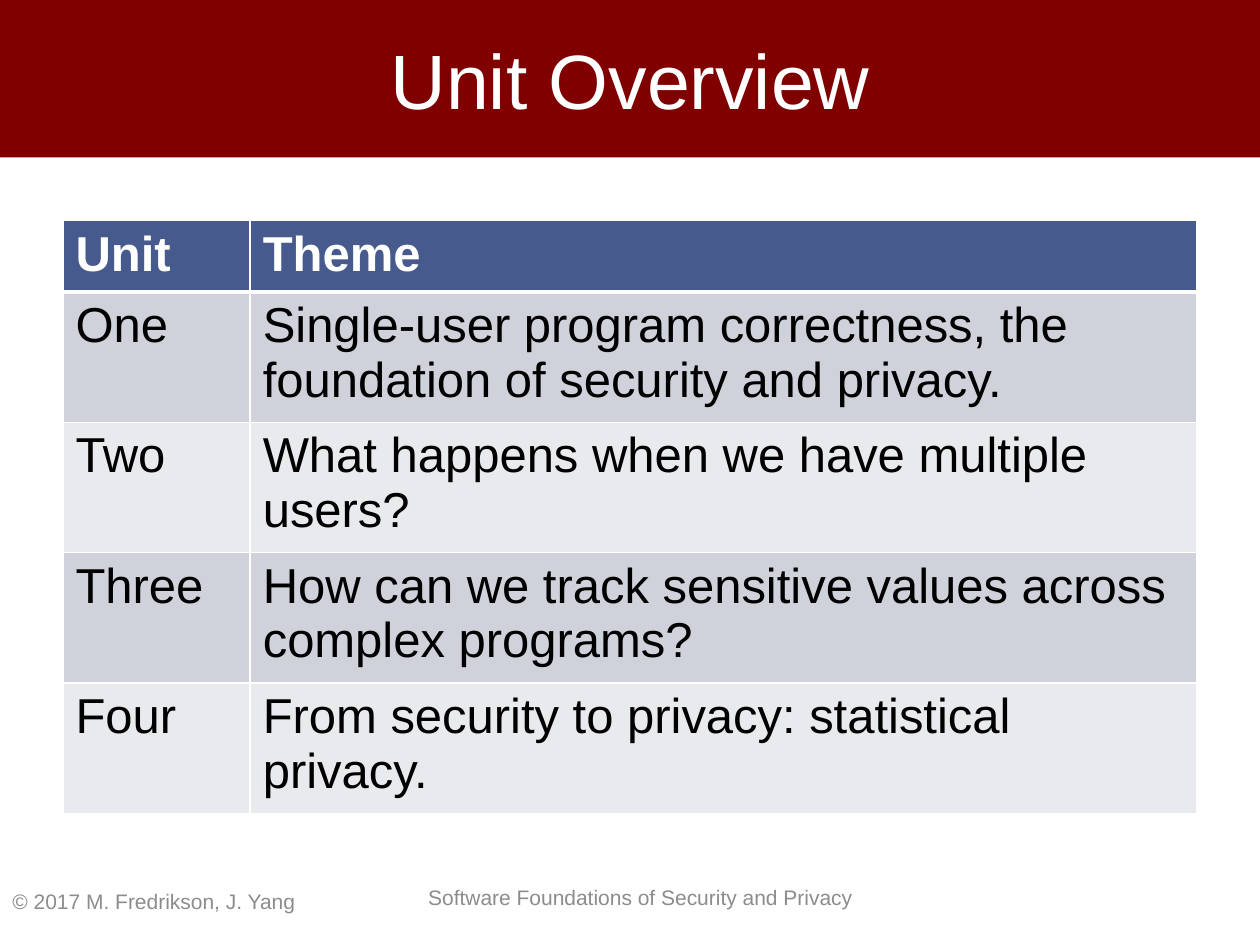
import pptx
import pptx.util
import pptx.dml.color
import pptx.enum.shapes
import pptx.enum.text
import lxml.etree

Pt = pptx.util.Pt
FONT = "Arial"
COLORS = {
    "white": "FFFFFF", "black": "000000", "gray": "8C8C8C", "maroon": "800000",
    "head": "475A8D", "odd": "CFD2DB", "even": "E9EAEE",
}
ROWS = [
    ("Unit", "Theme"),
    ("One", "Single-user program correctness, the foundation of security and privacy."),
    ("Two", "What happens when we have multiple users?"),
    ("Three", "How can we track sensitive values across complex programs?"),
    ("Four", "From security to privacy: statistical privacy."),
]


def paint(fill, color):
    """Give a fill one solid colour."""
    fill.solid()
    fill.fore_color.rgb = pptx.dml.color.RGBColor.from_string(COLORS[color])


def write(frame, text, size, color, bold=False):
    """Set the text of a frame and format its run."""
    frame.text = text
    font = frame.paragraphs[0].runs[0].font
    font.name, font.size, font.bold = FONT, Pt(size), bold
    font.color.rgb = pptx.dml.color.RGBColor.from_string(COLORS[color])


def edge(cell, side, width):
    """Draw a white border on one side of a cell."""
    props = cell._tc.get_or_add_tcPr()
    ns = "{" + props.nsmap["a"] + "}"
    line = lxml.etree.SubElement(props, ns + "ln" + side, w=str(Pt(width)))
    fill = lxml.etree.SubElement(line, ns + "solidFill")
    lxml.etree.SubElement(fill, ns + "srgbClr", val=COLORS["white"])


def add_title(slide, left, top, width, height):
    """Add the title band."""
    band = slide.shapes.add_shape(
        pptx.enum.shapes.MSO_SHAPE.RECTANGLE, Pt(left), Pt(top), Pt(width), Pt(height))
    band.shadow.inherit = False
    paint(band.fill, "maroon")
    band.line.fill.background()
    frame = band.text_frame
    frame.vertical_anchor = pptx.enum.text.MSO_ANCHOR.MIDDLE
    write(frame, "Unit Overview", 44, "white")
    frame.paragraphs[0].alignment = pptx.enum.text.PP_ALIGN.CENTER


def add_units(slide, left, top, width, height):
    """Add the table of units and themes."""
    table = slide.shapes.add_table(
        len(ROWS), 2, Pt(left), Pt(top), Pt(width), Pt(height)).table
    first, head = 107, 38.5
    table.columns[0].width, table.columns[1].width = Pt(first), Pt(width - first)
    for r, texts in enumerate(ROWS):
        is_head = r == 0
        table.rows[r].height = Pt(head if is_head else (height - head) / (len(ROWS) - 1))
        shade = "head" if is_head else ("odd" if r % 2 else "even")
        for c, text in enumerate(texts):
            cell = table.cell(r, c)
            write(cell.text_frame, text, 28, "white" if is_head else "black", is_head)
            for side in "LRTB":
                thick = (is_head and side == "B") or (r == 1 and side == "T")
                edge(cell, side, 3 if thick else 1)
            paint(cell.fill, shade)


def add_note(slide, text, left, top, width, height):
    """Add one gray footer line."""
    frame = slide.shapes.add_textbox(Pt(left), Pt(top), Pt(width), Pt(height)).text_frame
    frame.word_wrap = True
    frame.vertical_anchor = pptx.enum.text.MSO_ANCHOR.MIDDLE
    write(frame, text, 12, "gray")


def main():
    """Build the slide and save it."""
    deck = pptx.Presentation()
    deck.slide_width, deck.slide_height = Pt(720), Pt(540)
    slide = deck.slides.add_slide(deck.slide_layouts[6])
    add_note(slide, "Software Foundations of Security and Privacy", 237.6, 498.5, 259.2, 28.8)
    add_title(slide, 0, 0, 720.5, 90)
    add_units(slide, 36, 126, 648, 317.3)
    add_note(slide, "© 2017 M. Fredrikson, J. Yang", 0, 500.5, 228, 28.8)
    deck.save("out.pptx")


if __name__ == "__main__":
    main()
